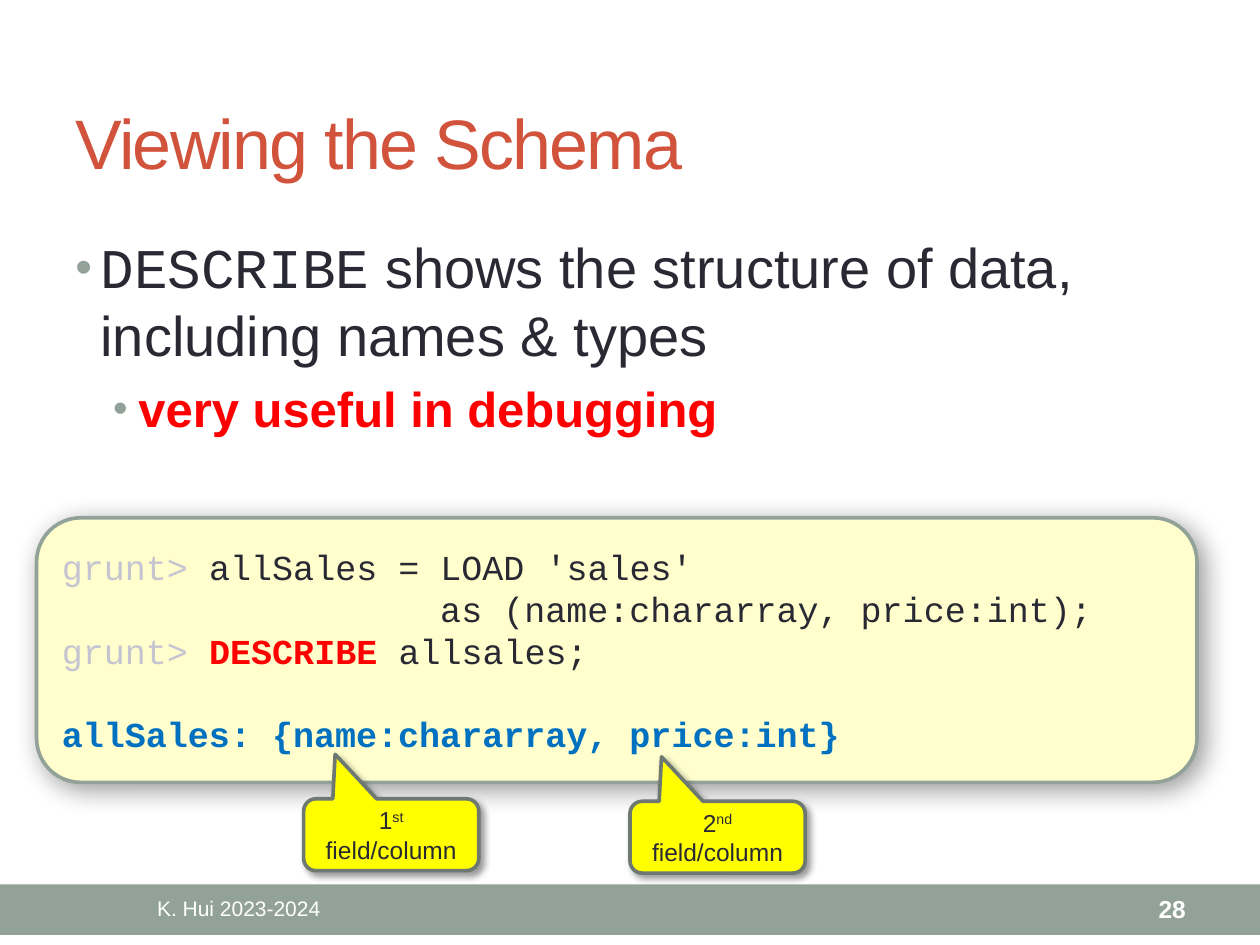
from lxml import etree
from pptx import Presentation
from pptx.dml.color import RGBColor
from pptx.enum.shapes import MSO_SHAPE
from pptx.enum.text import MSO_ANCHOR, PP_ALIGN
from pptx.oxml.ns import qn
from pptx.util import Inches, Pt

RECTANGLE = MSO_SHAPE.RECTANGLE
ROUNDED = MSO_SHAPE.ROUNDED_RECTANGLE
CALLOUT = MSO_SHAPE.ROUNDED_RECTANGULAR_CALLOUT
TOP, MIDDLE = MSO_ANCHOR.TOP, MSO_ANCHOR.MIDDLE
LEFT, CENTER, RIGHT = PP_ALIGN.LEFT, PP_ALIGN.CENTER, PP_ALIGN.RIGHT

SAGE, INK, RED, WHITE = "93A299", "292934", "FF0000", "FFFFFF"
SANS, MONO = "Arial", "Courier New"


def color(value):
    return RGBColor.from_string(value)


def add_run(paragraph, text, size=20, font=SANS, ink=INK, bold=False, spacing=0, baseline=0):
    run = paragraph.add_run()
    run.text = text
    run.font.size = Pt(size)
    run.font.name = font
    run.font.bold = bold
    run.font.color.rgb = color(ink)
    properties = run.font._element
    if spacing:
        properties.set("spc", str(spacing * 100))
    if baseline:
        properties.set("baseline", str(baseline * 1000))


def add_child(parent, tag, **attributes):
    child = etree.SubElement(parent, qn(tag))
    for key, value in attributes.items():
        child.set(key, str(value))
    return child


class SlideBuilder:
    line_width = Pt(2.08)

    def __init__(self, slide):
        self.slide = slide

    def fill_text(self, shape, paragraphs, anchor=MIDDLE, align=LEFT, gap=0, gap_at=1):
        frame = shape.text_frame
        frame.word_wrap = True
        frame.vertical_anchor = anchor
        for index, runs in enumerate(paragraphs):
            paragraph = frame.add_paragraph() if index else frame.paragraphs[0]
            paragraph.alignment = align
            if gap and index == gap_at:
                paragraph.space_before = Pt(gap)
            for text, style in runs:
                add_run(paragraph, text, **style)
        return shape

    def title(self, text, left, top, width, height):
        title = self.slide.shapes.title
        title.left, title.top = Inches(left), Inches(top)
        title.width, title.height = Inches(width), Inches(height)
        style = dict(size=40, ink="D2533C", spacing=-1)
        self.fill_text(title, [[(text, style)]])

    def text(self, paragraphs, left, top, width, height, **layout):
        box = self.slide.shapes.add_textbox(
            Inches(left), Inches(top), Inches(width), Inches(height))
        return self.fill_text(box, paragraphs, **layout)

    def bullets(self, paragraphs, left, top, width, height):
        box = self.text(paragraphs, left, top, width, height, anchor=TOP, gap=6.5)
        for level, paragraph in enumerate(box.text_frame.paragraphs):
            paragraph.level = level
            properties = paragraph._p.get_or_add_pPr()
            properties.set("marL", str(Inches(0.2 + 0.3 * level)))
            properties.set("indent", str(Inches(-0.2)))
            bullet_color = add_child(properties, "a:buClr")
            add_child(bullet_color, "a:srgbClr", val=SAGE)
            add_child(properties, "a:buSzPct", val=85000)
            add_child(properties, "a:buFont", typeface=SANS)
            add_child(properties, "a:buChar", char="•")

    def panel(self, kind, left, top, width, height, fill, line=None, shadow=None):
        panel = self.slide.shapes.add_shape(
            kind, Inches(left), Inches(top), Inches(width), Inches(height))
        panel.shadow.inherit = False
        panel.fill.solid()
        panel.fill.fore_color.rgb = color(fill)
        if line:
            panel.line.color.rgb = color(line)
            panel.line.width = self.line_width
        else:
            panel.line.fill.background()
        if shadow:
            self.cast_shadow(panel, *shadow)
        return panel

    def cast_shadow(self, panel, blur, distance):
        effects = panel._element.spPr.find(qn("a:effectLst"))
        shadow = add_child(effects, "a:outerShdw", blurRad=Pt(blur), dist=Pt(distance),
                           dir=45 * 60000, algn="tl", rotWithShape=0)
        shade = add_child(shadow, "a:srgbClr", val="000000")
        add_child(shade, "a:alpha", val=40000)

    def code(self, paragraphs, left, top, width, height, **layout):
        panel = self.panel(ROUNDED, left, top, width, height, "FFFECC", SAGE, (15, 5))
        self.fill_text(panel, paragraphs, **layout)

    def callout(self, number, suffix, left, top):
        callout = self.panel(CALLOUT, left, top, 1.39, 0.57, "FFFF00", "6D7871", (4, 3))
        for index, value in enumerate((-0.32, -1.12, 0.17)):
            callout.adjustments[index] = value
        label = dict(size=14)
        runs = [(number, label), (suffix, dict(size=14, baseline=30)), (" field/column", label)]
        self.fill_text(callout, [runs], align=CENTER)


def main():
    deck = Presentation()
    deck.slide_width, deck.slide_height = Inches(10), Inches(7.5)
    builder = SlideBuilder(deck.slides.add_slide(deck.slide_layouts[5]))

    builder.panel(RECTANGLE, 0, 7.02, 10, 0.4, SAGE)
    builder.title("Viewing the Schema", 0.5, 0.58, 9, 1.08)
    builder.bullets([
        [("DESCRIBE", dict(size=32, font=MONO)),
         (" shows the structure of data, including names & types", dict(size=32))],
        [("very useful in debugging", dict(size=28, ink=RED, bold=True))],
    ], 0.5, 1.8, 9, 2.44)

    builder.text([[("K. Hui 2023-2024", dict(size=12, ink=WHITE))]],
                 0.5, 7.03, 2.79, 0.36, align=CENTER)
    builder.text([[("28", dict(size=14, ink=WHITE, bold=True))]],
                 8.34, 7.03, 1.17, 0.36, align=RIGHT)

    plain = dict(font=MONO)
    prompt = ("grunt> ", dict(font=MONO, ink="C5C5D1"))
    builder.code([
        [prompt, ("allSales = LOAD 'sales'", plain)],
        [("                  as (name:chararray, price:int);", plain)],
        [prompt, ("DESCRIBE ", dict(font=MONO, ink=RED, bold=True)), ("allsales;", plain)],
        [("allSales: {name:chararray, price:int}", dict(font=MONO, ink="0070C0", bold=True))],
    ], 0.29, 4.11, 9.21, 2.1, gap=23, gap_at=3)

    builder.callout("1", "st", 2.41, 6.34)
    builder.callout("2", "nd", 5, 6.36)

    deck.save("out.pptx")


if __name__ == "__main__":
    main()
